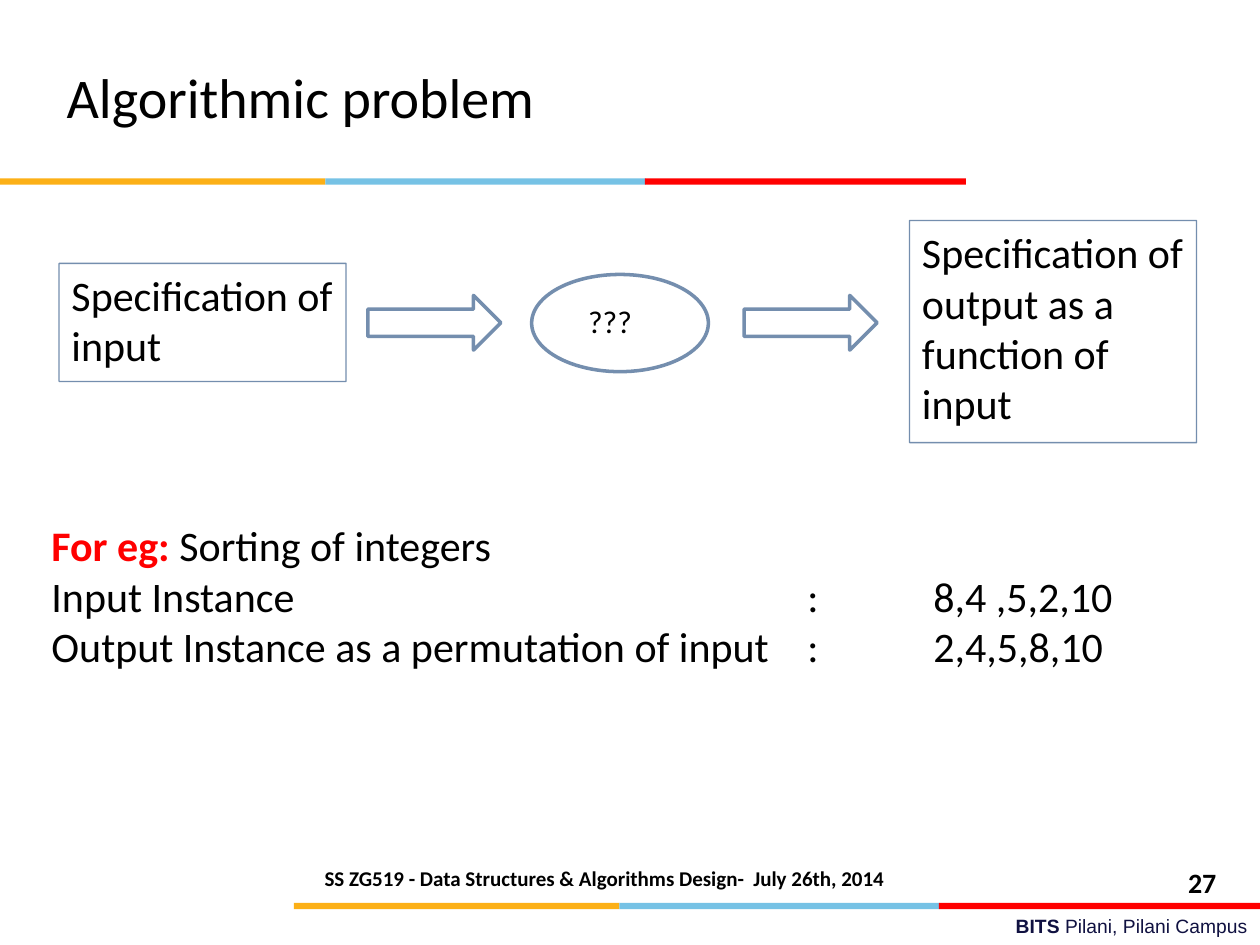
from lxml import etree
from pptx import Presentation
from pptx.dml.color import RGBColor
from pptx.enum import shapes, text
from pptx.oxml.ns import qn
from pptx.util import Pt

BLACK = RGBColor(0, 0, 0)
RED = RGBColor(0xFF, 0, 0)
ORANGE = RGBColor(0xFC, 0xB0, 0x17)
SKY = RGBColor(0x76, 0xC2, 0xE5)
NAVY = RGBColor(0x10, 0x11, 0x41)
OUTLINE = RGBColor(0x3A, 0x5F, 0x8C)
SHAPE = shapes.MSO_SHAPE
ALIGN = text.PP_ALIGN
ANCHOR = text.MSO_ANCHOR

presentation = Presentation()
presentation.slide_width, presentation.slide_height = Pt(720), Pt(540)
slide = presentation.slides.add_slide(presentation.slide_layouts[6])


def write(shape, lines, size, align=ALIGN.LEFT, anchor=ANCHOR.TOP, font="Calibri"):
    """Fill a shape with lines, each a list of (words, bold, colour)."""
    frame = shape.text_frame
    frame.word_wrap = True
    frame.vertical_anchor = anchor
    for index, line in enumerate(lines):
        paragraph = frame.paragraphs[0] if index == 0 else frame.add_paragraph()
        paragraph.alignment = align
        for words, bold, colour in line:
            run = paragraph.add_run()
            run.text = words
            run.font.name, run.font.size = font, Pt(size)
            run.font.bold, run.font.color.rgb = bold, colour


def add_outline(kind, left, top, width, height, weight):
    """Add an unfilled shape with a slightly transparent outline."""
    shape = slide.shapes.add_shape(kind, Pt(left), Pt(top), Pt(width), Pt(height))
    shape.shadow.inherit = False
    shape.fill.background()
    shape.line.color.rgb = OUTLINE
    shape.line.width = Pt(weight)
    colour = shape.line._ln.find(".//" + qn("a:srgbClr"))
    etree.SubElement(colour, qn("a:alpha"), val="70000")
    return shape


# Three-colour stripes under the title and above the footer
for start, top in ((0, 102), (168, 516)):
    for offset, width, colour in ((0, 186, ORANGE), (186, 183, SKY), (368.5, 183.5, RED)):
        stripe = slide.shapes.add_shape(
            SHAPE.RECTANGLE, Pt(start + offset), Pt(top), Pt(width), Pt(3.6))
        stripe.shadow.inherit = False
        stripe.fill.solid()
        stripe.fill.fore_color.rgb = colour
        stripe.line.fill.background()

# Title
title = slide.shapes.add_textbox(Pt(31), Pt(21.6), Pt(482), Pt(67))
write(title, [[("Algorithmic problem", False, BLACK)]], 32, anchor=ANCHOR.MIDDLE)

# Input and output boxes
for words, left, top, height in (
        ("Specification of input", 33.8, 150.5, 67.5),
        ("Specification of output as a function of input", 519.8, 126, 127)):
    box = add_outline(SHAPE.RECTANGLE, left, top, 164, height, 0.75)
    write(box, [[(words, False, BLACK)]], 24)

# Arrows and the unknown step between the boxes
for left in (210.2, 425.2):
    add_outline(SHAPE.RIGHT_ARROW, left, 168.8, 76, 31.3, 2)
add_outline(SHAPE.OVAL, 303.8, 156.8, 101, 55.6, 2)
unknown = slide.shapes.add_textbox(Pt(329), Pt(169.2), Pt(50.4), Pt(30))
write(unknown, [[("???", False, BLACK)]], 18)

# Worked example, aligned on two tab stops
example = slide.shapes.add_textbox(Pt(22.3), Pt(293.5), Pt(680), Pt(96))
write(example, [
    [("For eg:", True, RED), (" Sorting of integers", False, BLACK)],
    [("Input Instance\t:\t8,4 ,5,2,10", False, BLACK)],
    [("Output Instance as a permutation of input\t:\t2,4,5,8,10", False, BLACK)],
], 24)
for paragraph in example.text_frame.paragraphs[1:]:
    tabs = etree.SubElement(paragraph._p.get_or_add_pPr(), qn("a:tabLst"))
    for stop in (432, 504):
        etree.SubElement(tabs, qn("a:tab"), pos=str(Pt(stop)), algn="l")

# Footer
course = slide.shapes.add_textbox(Pt(172.8), Pt(491), Pt(345.6), Pt(28.8))
write(course, [[("SS ZG519 - Data Structures & Algorithms Design-  July 26th, 2014",
                 True, BLACK)]], 12, ALIGN.CENTER)
number = slide.shapes.add_textbox(Pt(671.8), Pt(491), Pt(48.2), Pt(23))
write(number, [[("27", True, BLACK)]], 16)
campus = slide.shapes.add_textbox(Pt(257.8), Pt(519.1), Pt(462.2), Pt(20.9))
write(campus, [[("BITS ", True, NAVY), ("Pilani, Pilani Campus", False, NAVY)]],
      11, ALIGN.RIGHT, font="Arial")

presentation.save("out.pptx")
